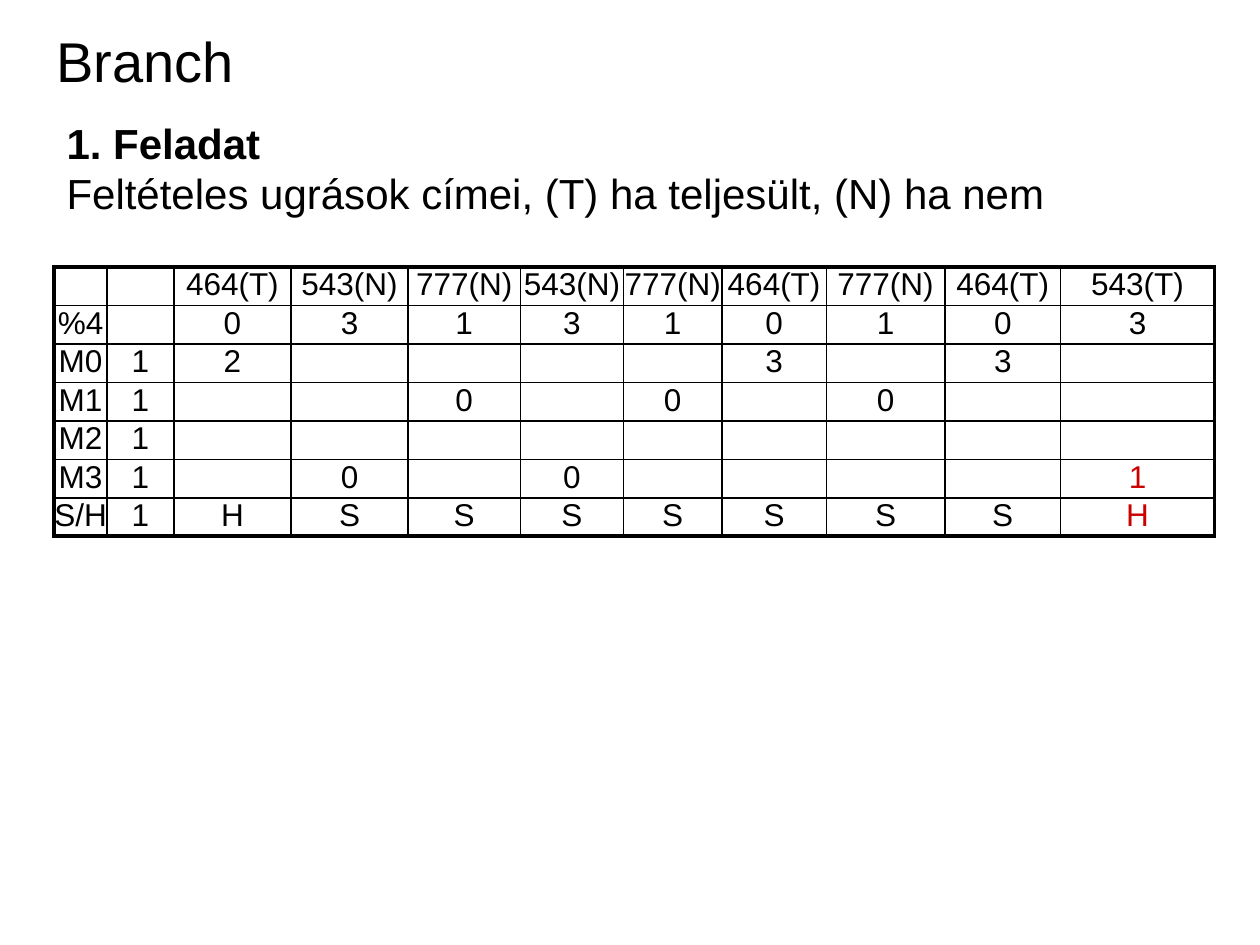
from dataclasses import dataclass

from lxml import etree
from pptx import Presentation
from pptx.dml.color import RGBColor
from pptx.enum.text import MSO_ANCHOR, MSO_AUTO_SIZE, PP_ALIGN
from pptx.oxml.ns import qn
from pptx.util import Inches, Pt

LEFT, CENTER = PP_ALIGN.LEFT, PP_ALIGN.CENTER
TOP, MIDDLE = MSO_ANCHOR.TOP, MSO_ANCHOR.MIDDLE
NO_AUTOFIT = MSO_AUTO_SIZE.NONE


@dataclass(frozen=True)
class Theme:
    font: str = "Arial"
    ink: str = "000000"
    answer: str = "CC0000"
    title_size: float = 32
    body_size: float = 24
    table_size: float = 18
    outer_line: float = 2.25
    inner_line: float = 1


THEME = Theme()
SLIDE_SIZE = (10, 7.5)
HANGING_INDENT = 0.38
ROW_HEIGHT = 0.3
COLUMN_WIDTHS = (0.42, 0.53, 0.93, 0.93, 0.89, 0.82, 0.78, 0.83, 0.94, 0.92, 1.22)
TASK_LINES = (
    ("1. Feladat", True),
    ("Feltételes ugrások címei, (T) ha teljesült, (N) ha nem", False),
)
# One string per table row; cells are separated by commas.
PREDICTOR_ROWS = [row.split(",") for row in (
    ",,464(T),543(N),777(N),543(N),777(N),464(T),777(N),464(T),543(T)",
    "%4,,0,3,1,3,1,0,1,0,3",
    "M0,1,2,,,,,3,,3,",
    "M1,1,,,0,,0,,0,,",
    "M2,1,,,,,,,,,",
    "M3,1,,0,,0,,,,,1",
    "S/H,1,H,S,S,S,S,S,S,S,H",
)]
ANSWER_CELLS = {(5, 10), (6, 10)}


def set_all(target, values):
    for name, value in values.items():
        setattr(target, name, value)


def inches(*lengths):
    return [Inches(length) for length in lengths]


def write(paragraph, text, size, color=THEME.ink, bold=False, align=LEFT):
    paragraph.alignment = align
    run = paragraph.add_run()
    run.text = text
    set_all(run.font, {"name": THEME.font, "size": Pt(size), "bold": bold})
    run.font.color.rgb = RGBColor.from_string(color)


def add_title(slide, text, left, top, width, height):
    title = slide.shapes.title
    box = dict(zip(("left", "top", "width", "height"), inches(left, top, width, height)))
    set_all(title, box)
    set_all(title.text_frame, {"auto_size": NO_AUTOFIT, "vertical_anchor": MIDDLE})
    write(title.text_frame.paragraphs[0], text, THEME.title_size)


def add_task(slide, lines, left, top, width, height):
    frame = slide.shapes.add_textbox(*inches(left, top, width, height)).text_frame
    set_all(frame, {"word_wrap": True, "auto_size": NO_AUTOFIT, "vertical_anchor": TOP})
    for index, (text, bold) in enumerate(lines):
        paragraph = frame.add_paragraph() if index else frame.paragraphs[0]
        paragraph.line_spacing = 0.95
        if index:
            paragraph.space_before = Pt(1.2)
        properties = paragraph._p.get_or_add_pPr()
        properties.set("marL", str(Inches(HANGING_INDENT)))
        properties.set("indent", str(-Inches(HANGING_INDENT)))
        write(paragraph, text, THEME.body_size, bold=bold)


def draw_borders(cell, outer_sides):
    """Draw all four sides, with the heavier line on the table's edge."""
    properties = cell._tc.get_or_add_tcPr()
    for side in "LRTB":
        width = THEME.outer_line if side in outer_sides else THEME.inner_line
        line = etree.SubElement(properties, qn(f"a:ln{side}"), w=str(Pt(width)))
        fill = etree.SubElement(line, qn("a:solidFill"))
        etree.SubElement(fill, qn("a:srgbClr"), val=THEME.ink)


def add_predictor_table(slide, rows, left, top):
    last_row, last_column = len(rows) - 1, len(COLUMN_WIDTHS) - 1
    table = slide.shapes.add_table(
        len(rows), len(COLUMN_WIDTHS),
        *inches(left, top, sum(COLUMN_WIDTHS), ROW_HEIGHT * len(rows))).table
    set_all(table, {"first_row": False, "horz_banding": False})
    for column, width in zip(table.columns, COLUMN_WIDTHS):
        column.width = Inches(width)
    margins = {f"margin_{side}": 0 for side in ("left", "right", "top", "bottom")}
    for r, values in enumerate(rows):
        table.rows[r].height = Inches(ROW_HEIGHT)
        for c, value in enumerate(values):
            cell = table.cell(r, c)
            set_all(cell, margins)
            edges = {"L": c == 0, "R": c == last_column, "T": r == 0, "B": r == last_row}
            draw_borders(cell, [side for side, outer in edges.items() if outer])
            cell.fill.background()
            if value:
                color = THEME.answer if (r, c) in ANSWER_CELLS else THEME.ink
                write(cell.text_frame.paragraphs[0], value, THEME.table_size,
                      color, align=CENTER)


def main():
    presentation = Presentation()
    presentation.slide_width, presentation.slide_height = inches(*SLIDE_SIZE)
    slide = presentation.slides.add_slide(presentation.slide_layouts.get_by_name("Title Only"))
    add_title(slide, "Branch", 0.35, 0.21, 5.75, 0.54)
    add_task(slide, TASK_LINES, 0.43, 0.91, 9.07, 3.86)
    add_predictor_table(slide, PREDICTOR_ROWS, 0.43, 2.12)
    presentation.save("out.pptx")


if __name__ == "__main__":
    main()
